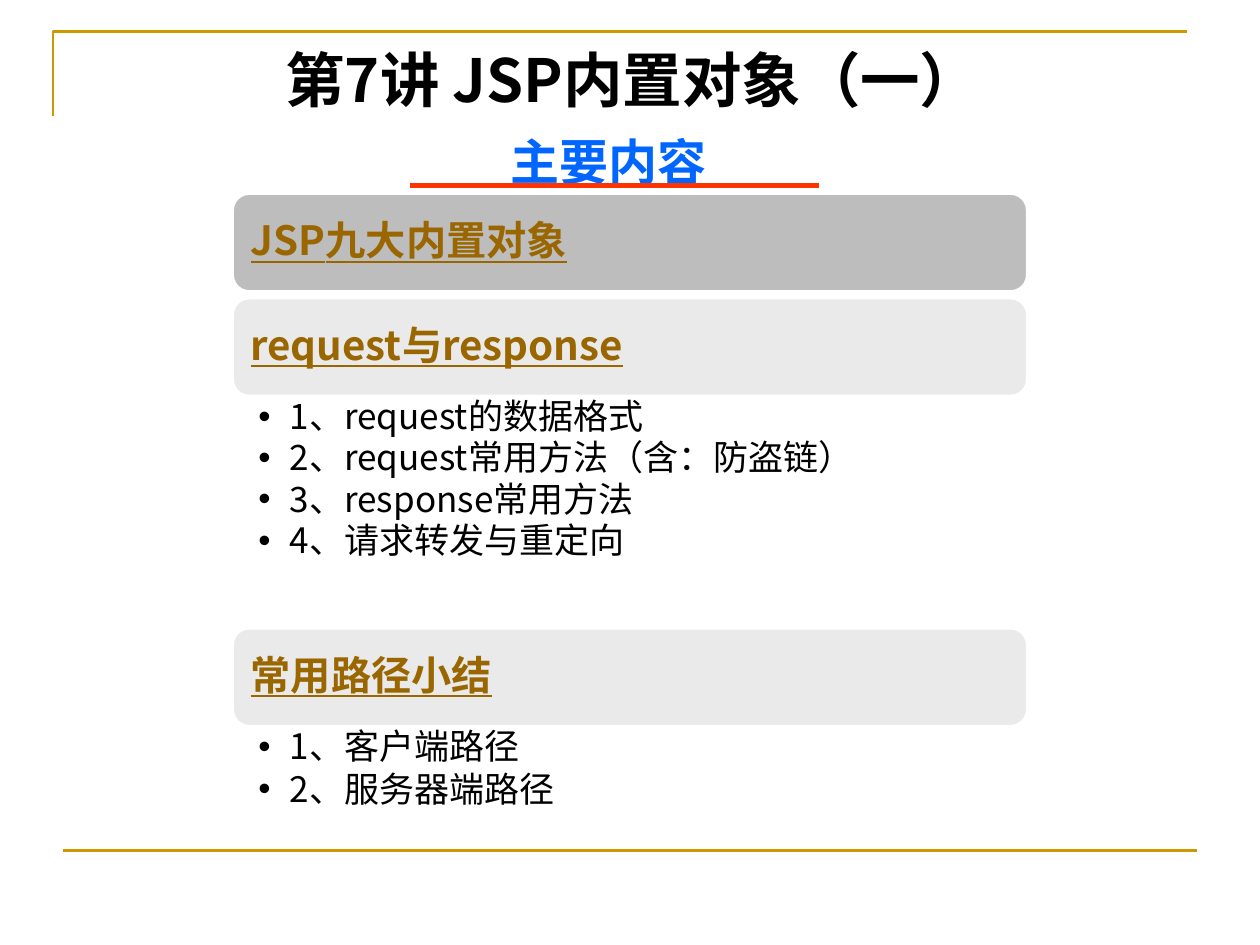
from lxml.etree import SubElement
from pptx import Presentation
from pptx.dml.color import RGBColor
from pptx.enum.shapes import MSO_CONNECTOR, MSO_SHAPE
from pptx.enum.text import MSO_ANCHOR, PP_ALIGN
from pptx.oxml.ns import qn
from pptx.util import Inches, Pt

CJK = "Noto Sans CJK SC"
GOLD = "CC9900"
LEFT, WIDTH = 1.85, 6.3
BAR_H, BAR_INSET = 0.77, 0.04

# bar top, bar colour, heading, list height, space after items, items
SECTIONS = [
    (1.54, "BDBDBD", "JSP九大内置对象", 0, 0, []),
    (2.37, "EAEAEA", "request与response", 1.86, 2,
     ["1、request的数据格式", "2、request常用方法（含：防盗链）",
      "3、response常用方法", "4、请求转发与重定向"]),
    (4.99, "EAEAEA", "常用路径小结", 0.97, 2.8,
     ["1、客户端路径", "2、服务器端路径"]),
]


def rgb(color):
    return RGBColor.from_string(color)


def add_rule(s, x1, x2, y, color, width):
    line = s.shapes.add_connector(MSO_CONNECTOR.STRAIGHT, Inches(x1), Inches(y),
                                  Inches(x2), Inches(y))
    line.line.color.rgb = rgb(color)
    line.line.width = Pt(width)
    SubElement(line._element.spPr, qn("a:effectLst"))


def add_corner(s):
    """Open gold angle at the top left of the slide."""
    builder = s.shapes.build_freeform(Inches(0.42), Inches(0.92))
    builder.add_line_segments([(Inches(0.42), Inches(0.25)),
                               (Inches(9.42), Inches(0.25))], close=False)
    sp = builder.convert_to_shape()
    sp.shadow.inherit = False
    sp.fill.background()
    sp.line.color.rgb = rgb(GOLD)
    sp.line.width = Pt(1.5)


def add_text(s, box, lines, size, color, font=CJK, bold=False, underline=False,
             insets=(0.1, 0.05, 0.1, 0.05), anchor=MSO_ANCHOR.TOP,
             align=PP_ALIGN.LEFT, spacing=1.0, before=0, after=0):
    """Text box with one paragraph per line; returns its paragraphs."""
    tf = s.shapes.add_textbox(*map(Inches, box)).text_frame
    tf.word_wrap = True
    tf.vertical_anchor = anchor
    (tf.margin_left, tf.margin_top,
     tf.margin_right, tf.margin_bottom) = map(Inches, insets)
    tf.text = "\n".join(lines)
    for p in tf.paragraphs:
        p.alignment = align
        p.line_spacing = spacing
        p.space_before, p.space_after = Pt(before), Pt(after)
        for r in p.runs:
            r.font.size = Pt(size)
            r.font.bold, r.font.underline = bold, underline
            r.font.color.rgb = rgb(color)
            r.font.name = font
            SubElement(r._r.get_or_add_rPr(), qn("a:ea"), typeface=CJK)
    return tf.paragraphs


def add_bullet(p):
    pPr = p._p.get_or_add_pPr()
    pPr.set("marL", str(Inches(0.25)))
    pPr.set("indent", str(-Inches(0.25)))
    SubElement(pPr, qn("a:buFont"), typeface="Arial")
    SubElement(pPr, qn("a:buChar"), char="•")


def add_bar(s, top, color, heading):
    sp = s.shapes.add_shape(MSO_SHAPE.ROUNDED_RECTANGLE, Inches(LEFT), Inches(top),
                            Inches(WIDTH), Inches(BAR_H))
    sp.shadow.inherit = False
    sp.fill.solid()
    sp.fill.fore_color.rgb = rgb(color)
    sp.line.color.rgb = rgb("FFFFFF")
    sp.line.width = Pt(1)
    box = (LEFT + BAR_INSET, top + BAR_INSET,
           WIDTH - 2 * BAR_INSET, BAR_H - 2 * BAR_INSET)
    add_text(s, box, [heading], 23, "996600", bold=True, underline=True,
             insets=(0.1,) * 4, anchor=MSO_ANCHOR.MIDDLE, spacing=0.9)


def add_list(s, top, height, items, after):
    for p in add_text(s, (LEFT, top, WIDTH, height), items, 20, "000000",
                      insets=(0.2, 0.03, 0.16, 0.03), spacing=0.9, after=after):
        add_bullet(p)


def main():
    prs = Presentation()
    prs.slide_width, prs.slide_height = Inches(10), Inches(7.5)
    s = prs.slides.add_slide(prs.slide_layouts[6])
    add_corner(s)
    add_rule(s, 0.5, 9.5, 6.75, GOLD, 1.5)
    add_text(s, (1.5, 0.29, 7.04, 1.13), ["第7讲 JSP内置对象（一）"], 34, "000000",
             bold=True, align=PP_ALIGN.CENTER)
    add_text(s, (0.33, 0.76, 9, 5.5), ["主要内容"], 28, "0066FF", font="Arial",
             bold=True, align=PP_ALIGN.CENTER, spacing=1.5, before=5.6)
    add_rule(s, 3.25, 6.5, 1.47, "FF3300", 3)
    for top, color, heading, height, after, items in SECTIONS:
        add_bar(s, top, color, heading)
        if items:
            add_list(s, top + BAR_H, height, items, after)
    prs.save("out.pptx")


if __name__ == "__main__":
    main()
